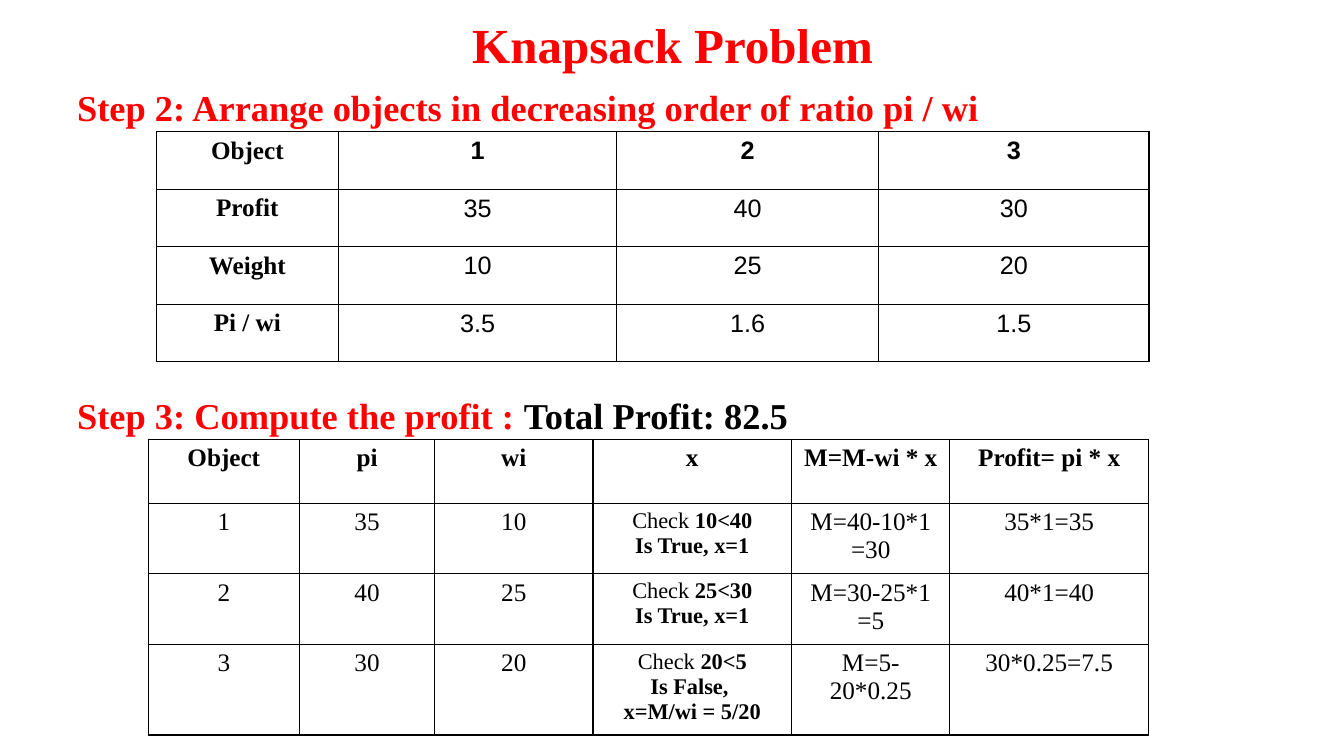
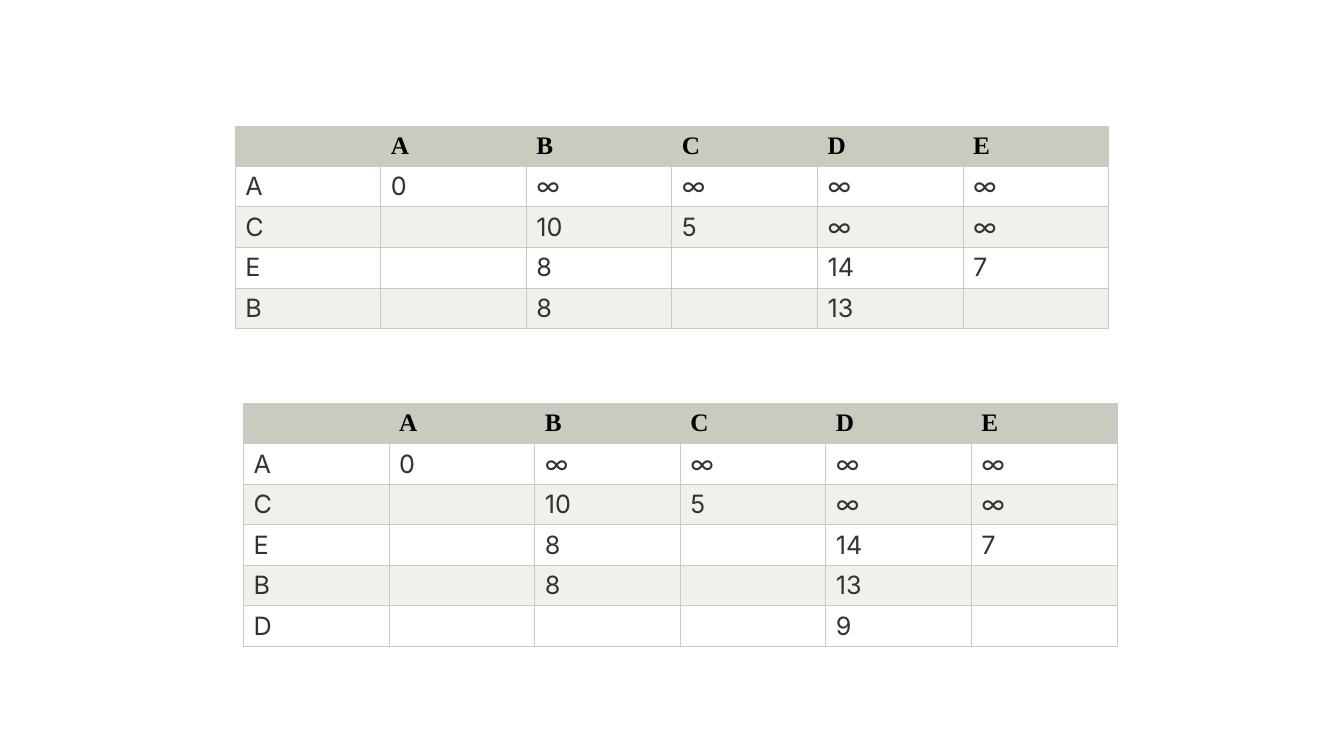
import dataclasses
import typing

import lxml.etree
import pptx
import pptx.dml.color
import pptx.enum.text
import pptx.oxml.ns
import pptx.util

Align = pptx.enum.text.PP_ALIGN
Anchor = pptx.enum.text.MSO_ANCHOR

GRID_COLUMNS, GRID_ROWS = 160, 90
GRID_STEP = pptx.util.Pt(6)
BLANK_LAYOUT = 6
SERIF, SANS, INTER = "Times New Roman", "Arial", "Inter"
RED, BLACK, WHITE, CHARCOAL = "FF0000", "000000", "FFFFFF", "333333"
SAGE, PALE_SAGE = "C7CCBE", "EFF1EB"


@dataclasses.dataclass(frozen=True)
class Style:
    font: str = SERIF
    size: float = 18
    color: str = BLACK
    bold: bool = False
    align: Align = Align.CENTER
    anchor: Anchor = Anchor.TOP


@dataclasses.dataclass(frozen=True)
class Span:
    text: str
    bold: typing.Optional[bool] = None
    color: typing.Optional[str] = None


Line = tuple[Span, ...]


@dataclasses.dataclass(frozen=True)
class Entry:
    lines: tuple[Line, ...]
    style: Style
    fill: typing.Optional[str] = None


@dataclasses.dataclass(frozen=True)
class Area:
    left: float
    top: float
    width: float
    height: float


@dataclasses.dataclass(frozen=True)
class Grid:
    left: float
    top: float
    columns: tuple[float, ...]
    rows: tuple[float, ...]
    border: str
    border_width: float


TITLE = Style(size=35, color=RED, bold=True, anchor=Anchor.MIDDLE)
STEP = Style(size=26, color=RED, bold=True, align=Align.LEFT)
HEADING = Style(bold=True)
VALUE = Style()
CHECK = Style(size=16)
SANS_HEADING = Style(font=SANS, bold=True)
SANS_VALUE = Style(font=SANS)
VERTEX = Style(bold=True, align=Align.LEFT, anchor=Anchor.MIDDLE)
DISTANCE = Style(font=INTER, color=CHARCOAL, align=Align.LEFT, anchor=Anchor.MIDDLE)


def rgb(value: str) -> pptx.dml.color.RGBColor:
    return pptx.dml.color.RGBColor.from_string(value)


def units(count: float) -> pptx.util.Emu:
    return pptx.util.Emu(round(count * GRID_STEP))


def plain(text: str, style: Style, fill: typing.Optional[str] = None) -> Entry:
    return Entry(tuple((Span(line),) for line in text.split("\n")), style, fill)


def check(condition: str, *outcome: str) -> Entry:
    first = (Span("Check "), Span(condition, bold=True))
    return Entry((first, *((Span(line, bold=True),) for line in outcome)), CHECK)


def write(frame, lines: tuple[Line, ...], style: Style) -> None:
    for index, line in enumerate(lines):
        paragraph = frame.add_paragraph() if index else frame.paragraphs[0]
        paragraph.alignment = style.align
        font = paragraph.font
        font.name, font.size, font.bold = style.font, pptx.util.Pt(style.size), style.bold
        font.color.rgb = rgb(style.color)
        for span in line:
            if not span.text:
                continue
            run = paragraph.add_run()
            run.text = span.text
            if span.bold is not None:
                run.font.bold = span.bold
            if span.color:
                run.font.color.rgb = rgb(span.color)


def add_text(slide, area: Area, line: Line, style: Style) -> None:
    box = slide.shapes.add_textbox(*map(units, dataclasses.astuple(area)))
    box.text_frame.word_wrap = True
    box.text_frame.vertical_anchor = style.anchor
    write(box.text_frame, (line,), style)


def add_borders(cell, color: str, width: float) -> None:
    properties = cell._tc.get_or_add_tcPr()
    for side in ("a:lnL", "a:lnR", "a:lnT", "a:lnB"):
        edge = lxml.etree.SubElement(
            properties, pptx.oxml.ns.qn(side), w=str(int(pptx.util.Pt(width)))
        )
        paint = lxml.etree.SubElement(edge, pptx.oxml.ns.qn("a:solidFill"))
        lxml.etree.SubElement(paint, pptx.oxml.ns.qn("a:srgbClr"), val=color)


def add_grid(slide, grid: Grid, entries: list[list[Entry]]) -> None:
    table = slide.shapes.add_table(
        len(grid.rows), len(grid.columns), units(grid.left), units(grid.top),
        units(sum(grid.columns)), units(sum(grid.rows)),
    ).table
    table.first_row = table.horz_banding = False
    for column, width in zip(table.columns, grid.columns):
        column.width = units(width)
    for row, height, row_entries in zip(table.rows, grid.rows, entries):
        row.height = units(height)
        for cell, entry in zip(row.cells, row_entries):
            add_borders(cell, grid.border, grid.border_width)
            if entry.fill:
                cell.fill.solid()
                cell.fill.fore_color.rgb = rgb(entry.fill)
            else:
                cell.fill.background()
            cell.vertical_anchor = entry.style.anchor
            write(cell.text_frame, entry.lines, entry.style)


def add_ratio_table(slide) -> None:
    ratios = [
        ("Object", "1", "2", "3"),
        ("Profit", "35", "40", "30"),
        ("Weight", "10", "25", "20"),
        ("Pi / wi", "3.5", "1.6", "1.5"),
    ]
    entries = [
        [plain(label, HEADING)]
        + [plain(value, SANS_VALUE if index else SANS_HEADING) for value in values]
        for index, (label, *values) in enumerate(ratios)
    ]
    grid = Grid(18.6, 15.7, (21.7, 33.1, 31.2, 32.2), (6.85,) * 4, BLACK, 1)
    add_grid(slide, grid, entries)


def add_profit_table(slide) -> None:
    headings = ("Object", "pi", "wi", "x", "M=M-wi * x", "Profit= pi * x")
    steps = [
        ("1", "35", "10", check("10<40", "Is True, x=1"), "M=40-10*1\n=30", "35*1=35"),
        ("2", "40", "25", check("25<30", "Is True, x=1"), "M=30-25*1\n=5", "40*1=40"),
        ("3", "30", "20", check("20<5", "Is False, ", "x=M/wi = 5/20"),
         "M=5-20*0.25", "30*0.25=7.5"),
    ]
    entries = [[plain(heading, HEADING) for heading in headings]]
    for step in steps:
        entries.append([
            item if isinstance(item, Entry) else plain(item, VALUE) for item in step
        ])
    columns = (18, 16.1, 18.85, 23.65, 18.85, 23.65)
    grid = Grid(17.65, 52.3, columns, (7.6, 7.85, 7.85, 10.05), BLACK, 1)
    add_grid(slide, grid, entries)


def add_distance_table(slide, left: float, top: float, visits: list[tuple[str, ...]]) -> None:
    entries = [[plain(vertex, VERTEX, SAGE) for vertex in ("", *"ABCDE")]]
    for index, visit in enumerate(visits):
        fill = PALE_SAGE if index % 2 else WHITE
        entries.append([plain(value, DISTANCE, fill) for value in visit])
    rows = (4.5,) + (4.83,) * len(visits)
    add_grid(slide, Grid(left, top, (104 / 6,) * 6, rows, SAGE, 0.75), entries)


def add_knapsack_slide(deck) -> None:
    slide = deck.slides.add_slide(deck.slide_layouts[BLANK_LAYOUT])
    add_text(slide, Area(8.1, 1.5, 144, 7.5), (Span("Knapsack Problem"),), TITLE)
    step_two = (Span("Step 2: Arrange objects in decreasing order of ratio pi / wi"),)
    step_three = (
        Span("Step 3: Compute the profit : "),
        Span("Total Profit: 82.5", color=BLACK),
    )
    for top, line in ((9.5, step_two), (46.2, step_three)):
        add_text(slide, Area(8, top, 144, 6), line, STEP)
    add_ratio_table(slide)
    add_profit_table(slide)


def add_distance_slide(deck) -> None:
    slide = deck.slides.add_slide(deck.slide_layouts[BLANK_LAYOUT])
    visits = [
        ("A", "0", "∞", "∞", "∞", "∞"),
        ("C", "", "10", "5", "∞", "∞"),
        ("E", "", "8", "", "14", "7"),
        ("B", "", "8", "", "13", ""),
    ]
    add_distance_table(slide, 28, 15, visits)
    add_distance_table(slide, 29, 48, visits + [("D", "", "", "", "9", "")])


def main() -> None:
    deck = pptx.Presentation()
    deck.slide_width, deck.slide_height = units(GRID_COLUMNS), units(GRID_ROWS)
    add_knapsack_slide(deck)
    add_distance_slide(deck)
    deck.save("out.pptx")


if __name__ == "__main__":
    main()
